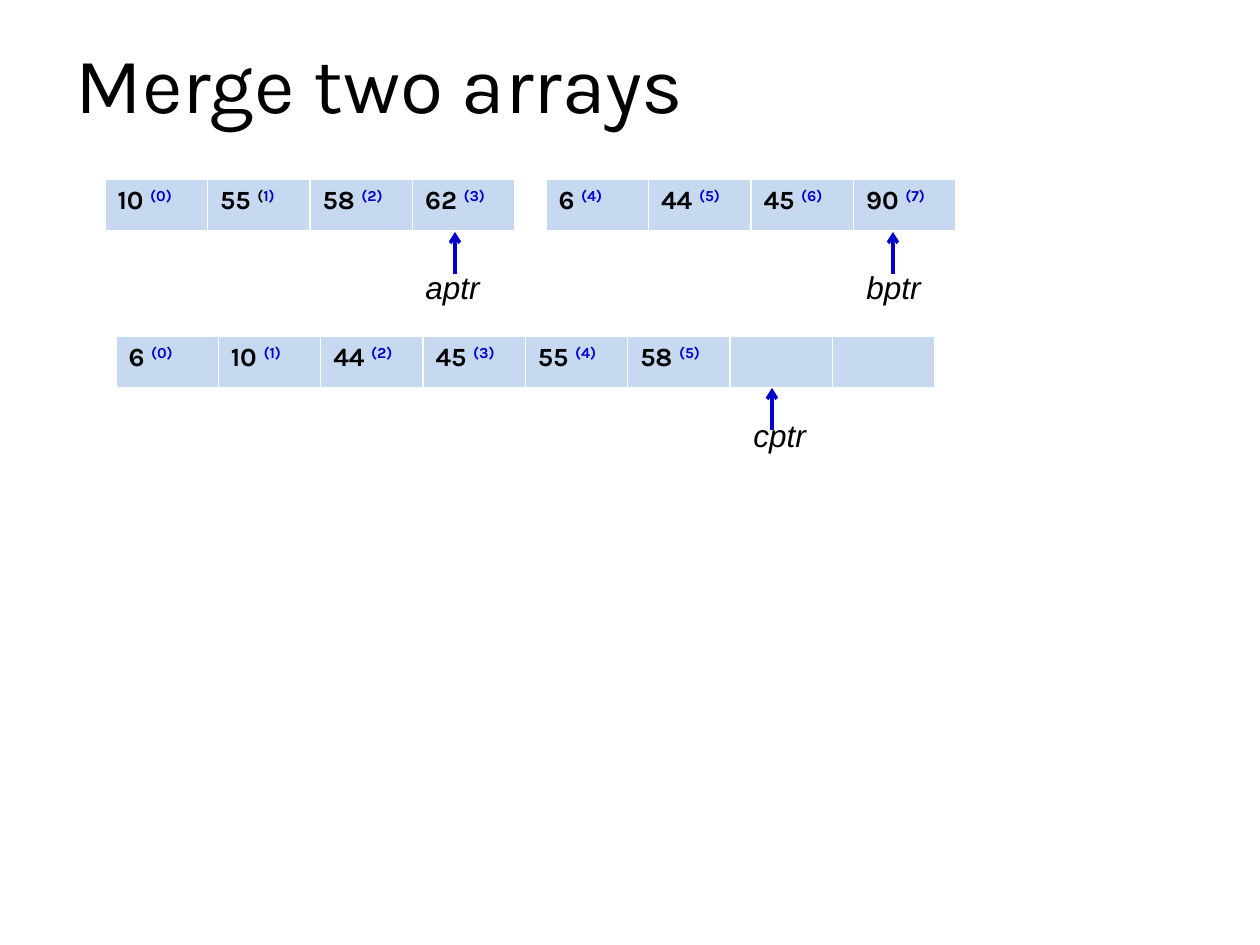
import pptx
import pptx.dml.color
import pptx.enum.shapes
import pptx.enum.text
import pptx.oxml
import pptx.oxml.ns
import pptx.util

EMU_PER_PX = 914400 / 126
BLACK, BLUE, PALE_BLUE, WHITE = "000000", "0000CC", "C6D9F1", "FFFFFF"


def px(length):
    return pptx.util.Emu(round(length * EMU_PER_PX))


def color(value):
    return pptx.dml.color.RGBColor.from_string(value)


def xml(tag, content="", attributes=""):
    namespace = pptx.oxml.ns.nsdecls("a")
    return pptx.oxml.parse_xml(f"<a:{tag} {namespace} {attributes}>{content}</a:{tag}>")


class ArraySlide:
    heading_font = "Karla"
    label_font = "Arial"
    row_height = 53

    def __init__(self, deck):
        self.slide = deck.slides.add_slide(deck.slide_layouts[5])

    def style(self, para, name, size, bold=False, italic=False):
        para.font.name = name
        para.font.size = pptx.util.Pt(size)
        para.font.bold = bold
        para.font.italic = italic
        para.font.color.rgb = color(BLACK)

    def title(self, text, left, top, width, height):
        box = self.slide.shapes.title
        box.left, box.top, box.width, box.height = map(px, (left, top, width, height))
        frame = box.text_frame
        frame.text = text
        frame.auto_size = pptx.enum.text.MSO_AUTO_SIZE.NONE
        frame.vertical_anchor = pptx.enum.text.MSO_ANCHOR.BOTTOM
        para = frame.paragraphs[0]
        para.alignment = pptx.enum.text.PP_ALIGN.LEFT
        para.line_spacing = 0.9
        self.style(para, self.heading_font, 45)

    def superscript(self, para, text, text_color):
        span = para.add_run()
        span.text = text
        span.font.color.rgb = color(text_color)
        span._r.get_or_add_rPr().set("baseline", "30000")

    def borders(self, cell):
        properties = cell._tc.get_or_add_tcPr()
        fill = f'<a:solidFill><a:srgbClr val="{WHITE}"/></a:solidFill>'
        for side, points in (("L", 1), ("R", 1), ("T", 1), ("B", 3)):
            properties.append(xml(f"ln{side}", fill, f'w="{pptx.util.Pt(points)}"'))

    def array(self, cells, left, top, width):
        """Each cell is (value, index parts); an index part is (text, color)."""
        frame = self.slide.shapes.add_table(
            1, len(cells), px(left), px(top), px(width), px(self.row_height))
        table = frame.table
        table.first_row = table.horz_banding = False
        for column, (value, index_parts) in enumerate(cells):
            table.columns[column].width = px(width / len(cells))
            cell = table.cell(0, column)
            self.borders(cell)
            cell.fill.solid()
            cell.fill.fore_color.rgb = color(PALE_BLUE)
            para = cell.text_frame.paragraphs[0]
            self.style(para, self.heading_font, 15, bold=True)
            if value is not None:
                para.add_run().text = f"{value} "
            for text, text_color in index_parts:
                self.superscript(para, text, text_color)

    def arrow(self, x, bottom, top):
        line = self.slide.shapes.add_connector(
            pptx.enum.shapes.MSO_CONNECTOR.STRAIGHT, px(x), px(bottom), px(x), px(top))
        line.line.color.rgb = color(BLUE)
        line.line.width = pptx.util.Pt(2)
        line.line._get_or_add_ln().append(xml("tailEnd", attributes='type="arrow"'))
        line._element.spPr.append(xml("effectLst"))

    def label(self, text, left, top, width):
        box = self.slide.shapes.add_textbox(px(left), px(top), px(width), px(50))
        frame = box.text_frame
        frame.word_wrap = False
        frame.auto_size = pptx.enum.text.MSO_AUTO_SIZE.SHAPE_TO_FIT_TEXT
        frame.text = text
        self.style(frame.paragraphs[0], self.label_font, 18, italic=True)


def indexed(values, start=0):
    return [(value, [(f"({index})", BLUE)]) for index, value in enumerate(values, start)]


def main():
    deck = pptx.Presentation()
    deck.slide_width, deck.slide_height = px(1260), px(945)
    page = ArraySlide(deck)
    page.title("Merge two arrays", 63, 21, 998, 116)

    # Two sorted input arrays and the merged array so far
    first = indexed([10, 55, 58, 62])
    first[1] = (55, [("(", BLACK), ("1)", BLUE)])
    second = indexed([6, 44, 45, 90], start=4)
    merged = indexed([6, 10, 44, 45, 55, 58]) + [(None, [])] * 2
    page.array(first, 105, 179, 410)
    page.array(second, 546, 179, 410)
    page.array(merged, 116, 336, 819)

    # Pointers into the arrays
    for name, arrow_x, arrow_top, left, top, width in (
        ("aptr", 455, 232, 413, 262, 81),
        ("bptr", 893, 232, 854, 262, 81),
        ("cptr", 772, 388, 741, 410, 78),
    ):
        page.arrow(arrow_x, arrow_top + 42, arrow_top)
        page.label(name, left, top, width)

    deck.save("out.pptx")


if __name__ == "__main__":
    main()
